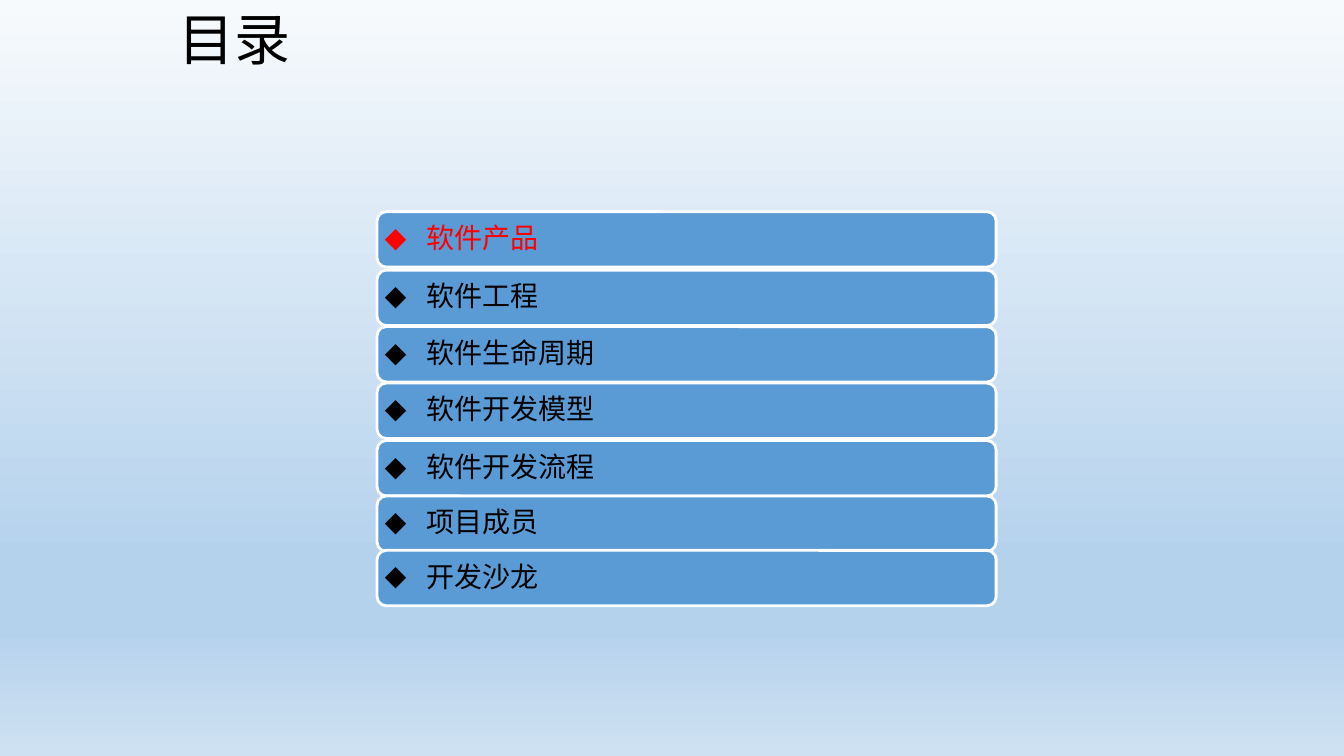
from lxml.etree import SubElement
from pptx import Presentation
from pptx.dml.color import RGBColor
from pptx.enum.shapes import MSO_SHAPE
from pptx.enum.text import MSO_ANCHOR, PP_ALIGN
from pptx.oxml.ns import qn
from pptx.util import Inches, Pt

THEME = {
    "background": [(0, "F7FAFD"), (74, "B5D2EC"), (83, "B5D2EC"), (100, "CEE1F2")],
    "bar": "5B9BD5",
    "outline": "FFFFFF",
    "text": "000000",
    "current": "FF0000",
    "title_size": 40,
    "item_size": 20,
    "title_font": "Noto Sans CJK SC",
    "item_font": "Calibri",
    "east_asian_font": "Noto Sans CJK SC",
}

CHAPTERS = [
    ("软件产品", 2.1),
    ("软件工程", 2.68),
    ("软件生命周期", 3.24),
    ("软件开发模型", 3.8),
    ("软件开发流程", 4.37),
    ("项目成员", 4.92),
    ("开发沙龙", 5.46),
]


def set_attributes(target, values):
    """Set every attribute named in a dict of format values."""
    for name, value in values.items():
        setattr(target, name, value)


def write_text(paragraph, text, font_name, size, color):
    """Add one run with its Latin and East Asian fonts."""
    run = paragraph.add_run()
    run.text = text
    set_attributes(run.font, {"name": font_name, "size": Pt(size)})
    run.font.color.rgb = RGBColor.from_string(color)
    east_asian = SubElement(run.font._element, qn("a:ea"))
    east_asian.set("typeface", THEME["east_asian_font"])
    run.font._element.find(qn("a:latin")).addnext(east_asian)


presentation = Presentation()
set_attributes(presentation, {"slide_width": Inches(13.33), "slide_height": Inches(7.5)})
slide = presentation.slides.add_slide(presentation.slide_layouts[6])

# Vertical background gradient with four stops
background_fill = slide.background.fill
background_fill.gradient()
background_fill.gradient_angle = 270
stop_list = slide.element.find(".//" + qn("a:gsLst"))
stop_list.clear()
for position, color in THEME["background"]:
    stop = SubElement(stop_list, qn("a:gs"), pos=str(position * 1000))
    SubElement(stop, qn("a:srgbClr"), val=color)

# Title
title = slide.shapes.add_textbox(Inches(1.67), Inches(0), Inches(6.5), Inches(0.77))
title.text_frame.word_wrap = True
write_text(title.text_frame.paragraphs[0], "目录",
           THEME["title_font"], THEME["title_size"], THEME["text"])

# Chapter bars, the first one highlighted as current
bar_frame = {
    "word_wrap": True,
    "vertical_anchor": MSO_ANCHOR.MIDDLE,
    "margin_left": Inches(0.05),
    "margin_right": Inches(0.05),
    "margin_top": Inches(0.05),
    "margin_bottom": Inches(0.05),
}
bar_paragraph = {"alignment": PP_ALIGN.LEFT, "line_spacing": 0.9, "space_after": Pt(7)}
bullet_indent = Inches(0.41)

for index, (chapter, top) in enumerate(CHAPTERS):
    bar = slide.shapes.add_shape(MSO_SHAPE.ROUNDED_RECTANGLE,
                                 Inches(3.74), Inches(top), Inches(6.14), Inches(0.55))
    bar.shadow.inherit = False
    bar.fill.solid()
    bar.fill.fore_color.rgb = RGBColor.from_string(THEME["bar"])
    bar.line.color.rgb = RGBColor.from_string(THEME["outline"])
    bar.line.width = Pt(2)
    set_attributes(bar.text_frame, bar_frame)

    paragraph = bar.text_frame.paragraphs[0]
    set_attributes(paragraph, bar_paragraph)
    properties = paragraph._p.get_or_add_pPr()
    properties.set("marL", str(bullet_indent))
    properties.set("indent", str(-bullet_indent))
    SubElement(properties, qn("a:buFont"), typeface=THEME["item_font"])
    SubElement(properties, qn("a:buChar"), char="◆")
    write_text(paragraph, chapter, THEME["item_font"], THEME["item_size"],
               THEME["current"] if index == 0 else THEME["text"])

presentation.save("out.pptx")
